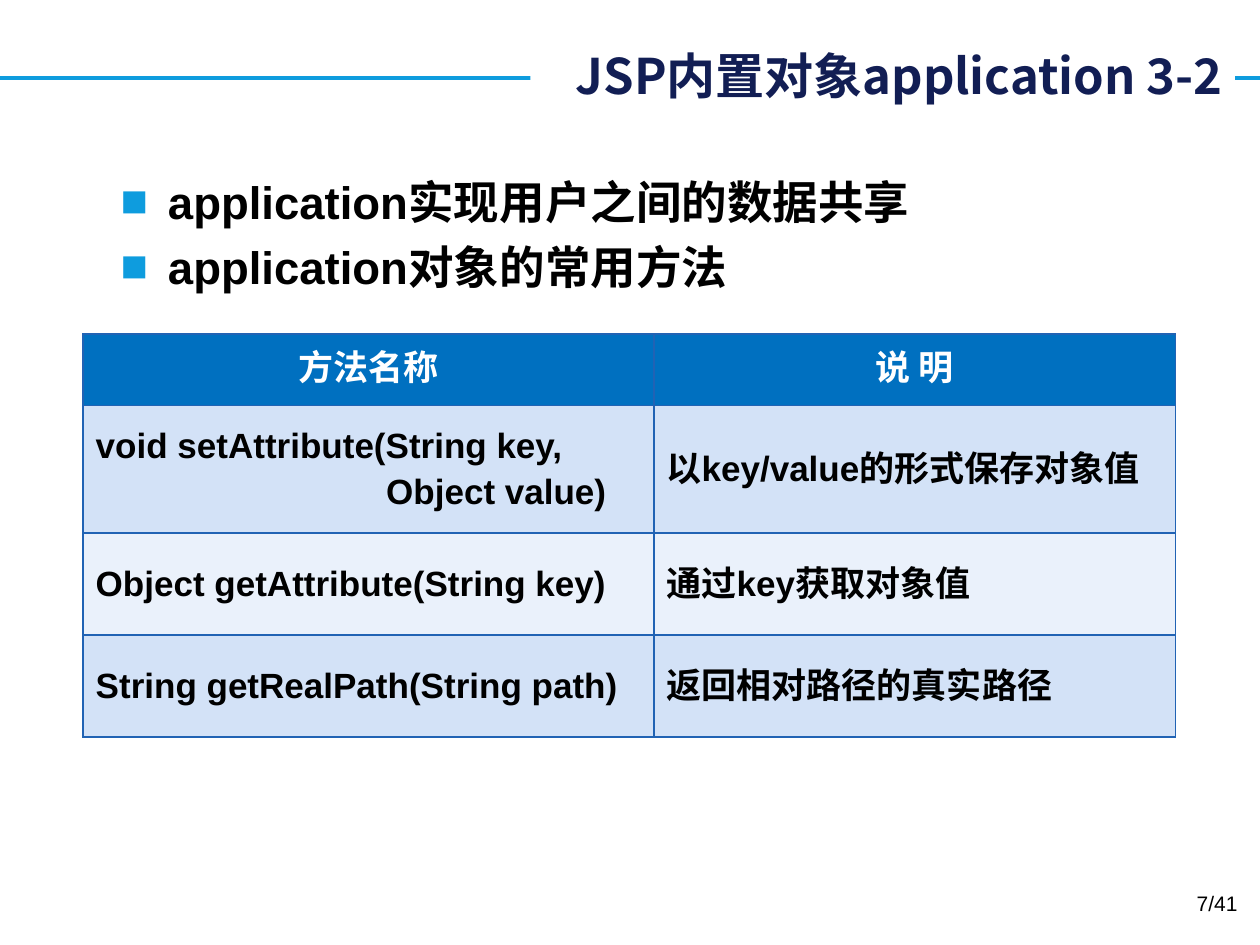
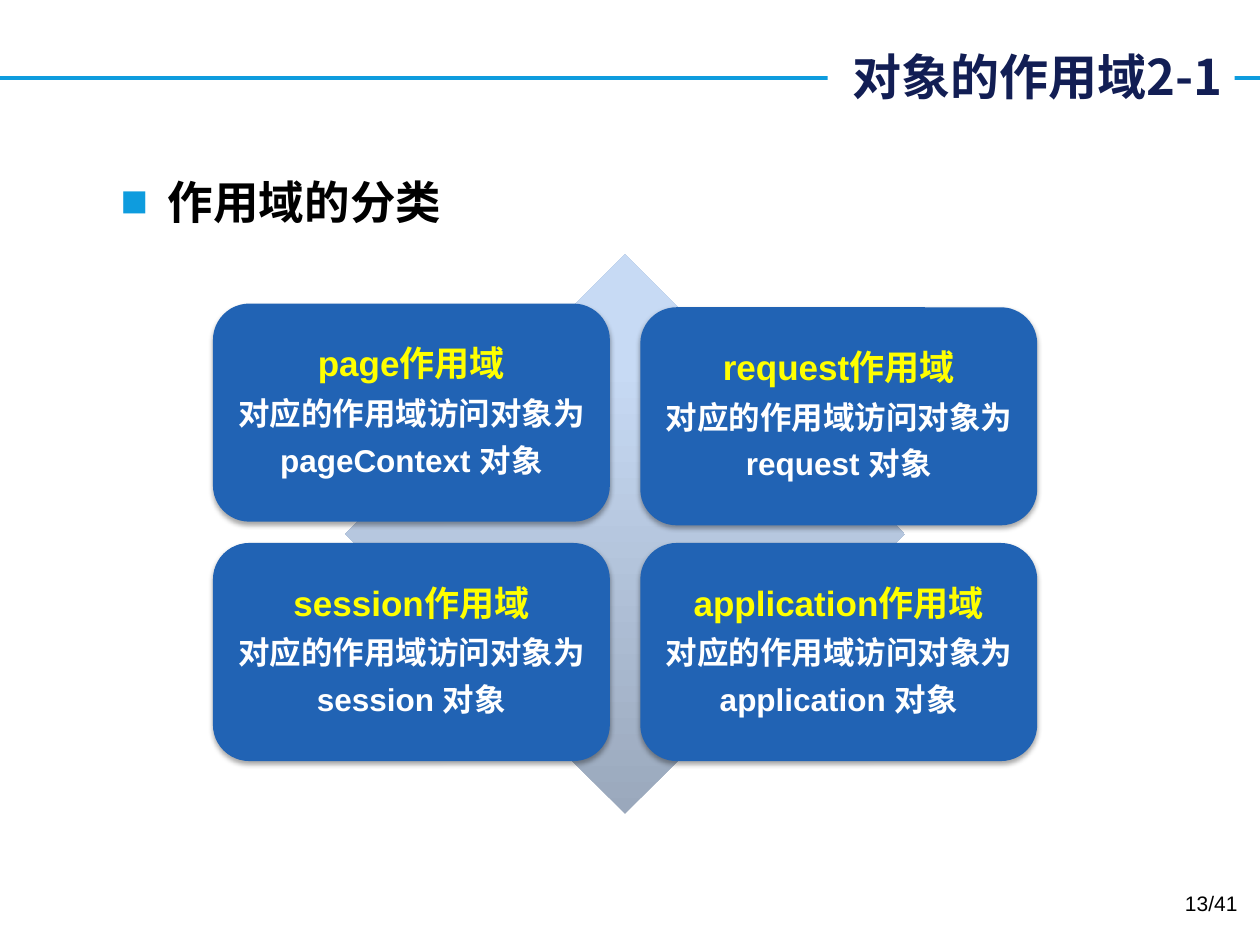
from collections import namedtuple

from lxml import etree
from pptx import Presentation
from pptx.dml.color import RGBColor
from pptx.enum.shapes import MSO_CONNECTOR, MSO_SHAPE
from pptx.enum.text import MSO_ANCHOR as Anchor, PP_ALIGN as Align
from pptx.oxml.ns import qn
from pptx.util import Pt

Box = namedtuple("Box", "left top width height")

WHITE = RGBColor(0xFF, 0xFF, 0xFF)
BLACK = RGBColor(0x00, 0x00, 0x00)
YELLOW = RGBColor(0xFF, 0xFF, 0x00)
NAVY = RGBColor(0x12, 0x1E, 0x54)
SKY = RGBColor(0x0E, 0x9C, 0xDE)
BLUE = RGBColor(0x21, 0x63, 0xB4)
HEADER_BLUE = RGBColor(0x00, 0x70, 0xC0)
ROW_DARK = RGBColor(0xD3, 0xE2, 0xF7)
ROW_LIGHT = RGBColor(0xEA, 0xF1, 0xFB)
DIAMOND_BOTTOM = RGBColor(0x9A, 0xA8, 0xBC)
DIAMOND_TOP = RGBColor(0xC7, 0xDA, 0xF4)

BODY_FONT = "Arial"
HEAD_FONT = "Noto Sans CJK SC"

SLIDE_WIDTH, SLIDE_HEIGHT = 720, 540
RULE_Y = 44.64
BODY_BOX = Box(61.92, 95.76, 601.92, 404.64)
FOOTER_BOX = Box(546.48, 505.44, 167.76, 28.8)


def points(box):
    return [Pt(value) for value in box]


def add(parent, tag, **attributes):
    child = etree.SubElement(parent, qn(tag))
    for name, value in attributes.items():
        child.set(name, str(value))
    return child


def write(para, text, size, color, font=BODY_FONT, bold=True, align=Align.LEFT):
    para.text = text
    para.alignment = align
    style = para.font
    style.size, style.bold, style.name = Pt(size), bold, font
    style.color.rgb = color
    # Chinese characters take the same face as the Latin ones
    latin = para._p.pPr.find(qn("a:defRPr")).find(qn("a:latin"))
    east_asian = etree.Element(qn("a:ea"), typeface=font)
    latin.addnext(east_asian)


def next_paragraph(frame, index):
    return frame.paragraphs[0] if index == 0 else frame.add_paragraph()


def add_text_frame(page, box):
    frame = page.shapes.add_textbox(*points(box)).text_frame
    frame.word_wrap = True
    return frame


def add_title(page, box, text):
    """Rule across the slide, broken by the white title box."""
    rule = page.shapes.add_connector(
        MSO_CONNECTOR.STRAIGHT, Pt(0), Pt(RULE_Y), Pt(SLIDE_WIDTH), Pt(RULE_Y))
    rule.line.color.rgb = SKY
    rule.line.width = Pt(2.25)
    add(rule._element.spPr, "a:effectLst")

    title = page.shapes.add_textbox(*points(box))
    title.fill.solid()
    title.fill.fore_color.rgb = WHITE
    frame = title.text_frame
    frame.word_wrap = True
    frame.margin_left = 0
    frame.vertical_anchor = Anchor.MIDDLE
    write(frame.paragraphs[0], text, 28, NAVY, HEAD_FONT, align=Align.RIGHT)


def add_bullets(page, box, items):
    frame = add_text_frame(page, box)
    for index, item in enumerate(items):
        para = next_paragraph(frame, index)
        if index:
            para.space_before = Pt(6)
        properties = para._p.get_or_add_pPr()
        properties.set("marL", str(Pt(27)))
        properties.set("indent", str(-Pt(27)))
        bullet_color = add(properties, "a:buClr")
        add(bullet_color, "a:srgbClr", val=SKY)
        add(properties, "a:buFont", typeface=BODY_FONT)
        add(properties, "a:buChar", char="■")
        write(para, item, 26, BLACK)


def add_page_number(page, box, text):
    frame = add_text_frame(page, box)
    write(frame.paragraphs[0], text, 12, BLACK, bold=False, align=Align.RIGHT)


def set_borders(cell):
    properties = cell._tc.get_or_add_tcPr()
    for index, side in enumerate(("L", "R", "T", "B")):
        border = etree.Element(qn(f"a:ln{side}"), w=str(Pt(1)))
        add(add(border, "a:solidFill"), "a:srgbClr", val=BLUE)
        properties.insert(index, border)


def add_method_table(page, box, header, rows, column_widths, row_heights):
    frame = page.shapes.add_table(len(rows) + 1, len(header), *points(box))
    table = frame.table
    for column, width in zip(table.columns, column_widths):
        column.width = Pt(width)
    for row, height in zip(table.rows, row_heights):
        row.height = Pt(height)

    for row_index, texts in enumerate([header, *rows]):
        is_header = row_index == 0
        stripe = ROW_DARK if row_index % 2 else ROW_LIGHT
        for column_index, text in enumerate(texts):
            cell = table.cell(row_index, column_index)
            cell.fill.solid()
            cell.fill.fore_color.rgb = HEADER_BLUE if is_header else stripe
            set_borders(cell)
            if is_header:
                write(cell.text_frame.paragraphs[0], text, 20, WHITE,
                      HEAD_FONT, align=Align.CENTER)
                continue
            cell.vertical_anchor = Anchor.MIDDLE
            for index, line in enumerate(text.split("\n")):
                para = next_paragraph(cell.text_frame, index)
                if index:
                    para.space_before = Pt(3.5)
                    para._p.get_or_add_pPr().set("marL", str(Pt(166)))
                write(para, line, 20, BLACK)


def add_scope_card(page, box, scope, target):
    card = page.shapes.add_shape(MSO_SHAPE.ROUNDED_RECTANGLE, *points(box))
    card.fill.solid()
    card.fill.fore_color.rgb = BLUE
    card.line.fill.background()
    card.shadow.inherit = False
    effects = card._element.spPr.find(qn("a:effectLst"))
    shadow = add(effects, "a:outerShdw", blurRad=Pt(3.1), dist=Pt(1.8),
                 dir=90 * 60000, rotWithShape=0)
    add(add(shadow, "a:srgbClr", val=BLACK), "a:alpha", val=35000)

    frame = card.text_frame
    frame.word_wrap = True
    frame.vertical_anchor = Anchor.MIDDLE
    frame.margin_left = frame.margin_right = Pt(6)
    frame.margin_top = frame.margin_bottom = Pt(6)
    lines = [
        (f"{scope}作用域", 20, YELLOW),
        ("对应的作用域访问对象为", 18, WHITE),
        (f"{target} 对象", 18, WHITE),
    ]
    for index, (text, size, color) in enumerate(lines):
        para = next_paragraph(frame, index)
        para.line_spacing = 0.9
        para.space_after = Pt(0.4 * size)
        write(para, text, size, color, align=Align.CENTER)


def add_scope_diagram(page, box, scopes):
    """Four cards in two columns over a diamond as tall as the box."""
    diamond_left = box.left + (box.width - box.height) / 2
    diamond = page.shapes.add_shape(MSO_SHAPE.DIAMOND, *points(
        (diamond_left, box.top, box.height, box.height)))
    diamond.shadow.inherit = False
    diamond.line.fill.background()
    diamond.fill.gradient()
    diamond.fill.gradient_angle = 90
    bottom, top = diamond.fill.gradient_stops
    bottom.color.rgb, bottom.position = DIAMOND_BOTTOM, 0
    top.color.rgb, top.position = DIAMOND_TOP, 0.8

    card_width, card_height = 226.8, 124.6
    card_tops = (28.1, 30.2, 164.9, 164.9)
    for index, ((scope, target), top) in enumerate(zip(scopes, card_tops)):
        left = box.left + index % 2 * (box.width - card_width)
        add_scope_card(page, Box(left, box.top + top, card_width, card_height),
                       scope, target)


def add_page(deck, title_box, title, bullets, number):
    page = deck.slides.add_slide(deck.slide_layouts[6])
    add_title(page, title_box, title)
    add_bullets(page, BODY_BOX, bullets)
    add_page_number(page, FOOTER_BOX, number)
    return page


def main():
    deck = Presentation()
    deck.slide_width, deck.slide_height = Pt(SLIDE_WIDTH), Pt(SLIDE_HEIGHT)

    methods = add_page(
        deck, Box(303.1, 22.3, 402.5, 41), "JSP内置对象application 3-2",
        ["application实现用户之间的数据共享", "application对象的常用方法"], "7/41")
    add_method_table(
        methods, Box(47.5, 190.8, 624.3, 230.4),
        ("方法名称", "说 明"),
        [("void setAttribute(String key,\nObject value)",
          "以key/value的形式保存对象值"),
         ("Object getAttribute(String key)", "通过key获取对象值"),
         ("String getRealPath(String path)", "返回相对路径的真实路径")],
        column_widths=(326.2, 298.1), row_heights=(41, 72.8, 58.3, 58.3))

    scopes = add_page(
        deck, Box(473, 5.8, 232.6, 74.9), "对象的作用域2-1",
        ["作用域的分类"], "13/41")
    add_scope_diagram(
        scopes, Box(121.7, 145.4, 471, 319.7),
        [("page", "pageContext"), ("request", "request"),
         ("session", "session"), ("application", "application")])

    deck.save("out.pptx")


if __name__ == "__main__":
    main()
